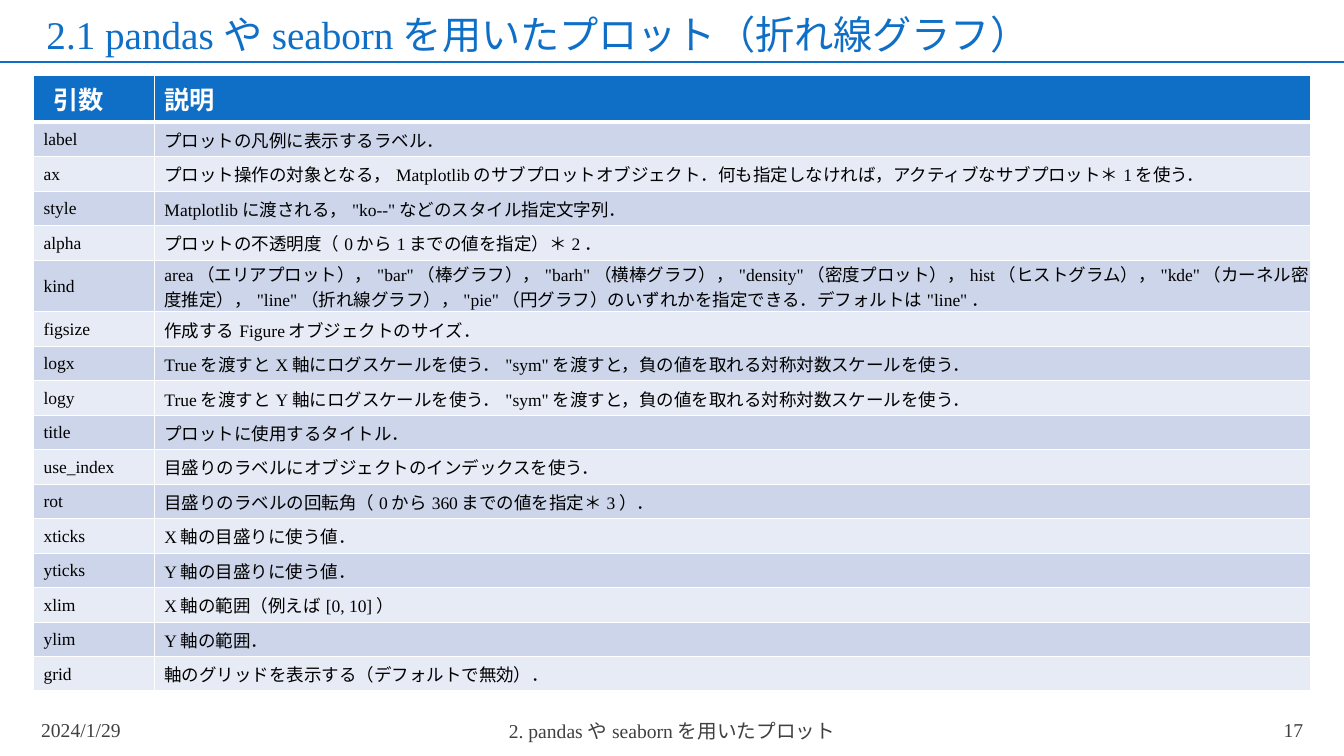
from pptx import Presentation
from pptx.dml.color import RGBColor
from pptx.enum import lang, shapes, text
from pptx.oxml import ns
from pptx.util import Pt
from lxml import etree

TITLE = "2.1 pandasやseabornを用いたプロット（折れ線グラフ）"
HEADER = ("引数", "説明")
ARGUMENTS = [
    ("label", "プロットの凡例に表示するラベル．"),
    ("ax", "プロット操作の対象となる，Matplotlibのサブプロットオブジェクト．"
           "何も指定しなければ，アクティブなサブプロット＊1を使う．"),
    ("style", "Matplotlibに渡される，\"ko--\"などのスタイル指定文字列．"),
    ("alpha", "プロットの不透明度（0から1までの値を指定）＊2．"),
    ("kind", "area（エリアプロット），\"bar\"（棒グラフ），\"barh\"（横棒グラフ），"
             "\"density\"（密度プロット），hist（ヒストグラム），\"kde\"（カーネル密度推定），"
             "\"line\"（折れ線グラフ），\"pie\"（円グラフ）のいずれかを指定できる．"
             "デフォルトは\"line\"．"),
    ("figsize", "作成するFigureオブジェクトのサイズ．"),
    ("logx", "Trueを渡すとX軸にログスケールを使う．\"sym\"を渡すと，負の値を取れる対称対数スケールを使う．"),
    ("logy", "Trueを渡すとY軸にログスケールを使う．\"sym\"を渡すと，負の値を取れる対称対数スケールを使う．"),
    ("title", "プロットに使用するタイトル．"),
    ("use_index", "目盛りのラベルにオブジェクトのインデックスを使う．"),
    ("rot", "目盛りのラベルの回転角（0から360までの値を指定＊3）．"),
    ("xticks", "X軸の目盛りに使う値．"),
    ("yticks", "Y軸の目盛りに使う値．"),
    ("xlim", "X軸の範囲（例えば[0, 10]）"),
    ("ylim", "Y軸の範囲．"),
    ("grid", "軸のグリッドを表示する（デフォルトで無効）．"),
]
LEFT, CENTER, RIGHT = text.PP_ALIGN.LEFT, text.PP_ALIGN.CENTER, text.PP_ALIGN.RIGHT
FOOTERS = [  # text, left, top, width, alignment
    ("2024/1/29", 22.3, 507, 216, LEFT),
    ("2. pandasやseabornを用いたプロット", 318, 507.5, 324, CENTER),
    ("17", 722, 507, 216, RIGHT),
]

BLUE = RGBColor(0x0F, 0x6F, 0xC6)
GRAY = RGBColor(0x40, 0x40, 0x40)
BLACK = RGBColor(0, 0, 0)
WHITE = RGBColor(0xFF, 0xFF, 0xFF)
BANDS = (RGBColor(0xCC, 0xD5, 0xEA), RGBColor(0xE7, 0xEB, 0xF5))
SERIF, GOTHIC = "Times New Roman", "Noto Sans CJK JP"

SLIDE_W, SLIDE_H = 960, 540
TABLE_LEFT, TABLE_TOP = 24, 54
COLUMNS = (86.4, 825.6)
HEADER_H, ROW_H, KIND_H = 29.5, 24.65, 31.7


def add_run(p, words, size, color, font=SERIF, bold=False):
    r = p.add_run()
    r.text = words
    f = r.font
    f.size, f.name, f.bold, f.color.rgb = Pt(size), font, bold, color
    f.language_id = lang.MSO_LANGUAGE_ID.JAPANESE
    latin = r._r.rPr.find(ns.qn("a:latin"))
    ea = etree.Element(ns.qn("a:ea"), typeface=GOTHIC)
    latin.addnext(ea)


def add_borders(cell, widths):
    """Draw white borders; widths maps L, R, T and B to points."""
    tcPr = cell._tc.get_or_add_tcPr()
    for side, width in widths.items():
        ln = etree.SubElement(tcPr, ns.qn(f"a:ln{side}"), w=str(Pt(width)))
        fill = etree.SubElement(ln, ns.qn("a:solidFill"))
        etree.SubElement(fill, ns.qn("a:srgbClr"), val=str(WHITE))


def fill_cell(cell, row, col, words):
    is_header = row == 0
    p = cell.text_frame.paragraphs[0]
    if is_header:
        cell.vertical_anchor = text.MSO_ANCHOR.BOTTOM
        indent = 7.2 if col == 0 else 0
        add_run(p, words, 18, WHITE, GOTHIC, True)
    else:
        cell.vertical_anchor = text.MSO_ANCHOR.MIDDLE
        cell.margin_left = cell.margin_top = cell.margin_right = Pt(0.6)
        cell.margin_bottom = 0
        indent = 6.5
        add_run(p, words, 12.5, BLACK)
    p._p.get_or_add_pPr().set("marL", str(Pt(indent)))
    add_borders(cell, {"L": 1, "R": 1, "T": 3 if row == 1 else 1, "B": 3 if is_header else 1})
    cell.fill.solid()
    cell.fill.fore_color.rgb = BLUE if is_header else BANDS[(row - 1) % 2]


def add_argument_table(s):
    rows = [HEADER] + ARGUMENTS
    heights = [HEADER_H] + [KIND_H if name == "kind" else ROW_H for name, _ in ARGUMENTS]
    table = s.shapes.add_table(len(rows), len(COLUMNS), Pt(TABLE_LEFT), Pt(TABLE_TOP),
                               Pt(sum(COLUMNS)), Pt(sum(heights))).table
    for column, width in zip(table.columns, COLUMNS):
        column.width = Pt(width)
    for i, (words, height) in enumerate(zip(rows, heights)):
        table.rows[i].height = Pt(height)
        for j, word in enumerate(words):
            fill_cell(table.cell(i, j), i, j, word)


def main():
    prs = Presentation()
    prs.slide_width, prs.slide_height = Pt(SLIDE_W), Pt(SLIDE_H)
    s = prs.slides.add_slide(prs.slide_layouts[5])

    rule = s.shapes.add_connector(shapes.MSO_CONNECTOR.STRAIGHT, Pt(SLIDE_W), Pt(44), 0, Pt(44))
    rule.line.color.rgb, rule.line.width = BLUE, Pt(1.5)
    etree.SubElement(rule._element.spPr, ns.qn("a:effectLst"))

    title = s.shapes.title
    title.left, title.top, title.width, title.height = Pt(26), Pt(8), Pt(912), Pt(36)
    tf = title.text_frame
    tf.vertical_anchor, tf.auto_size = text.MSO_ANCHOR.MIDDLE, text.MSO_AUTO_SIZE.NONE
    p = tf.paragraphs[0]
    p.alignment, p.line_spacing = LEFT, 0.9
    add_run(p, TITLE, 28, BLUE)

    add_argument_table(s)

    for words, left, top, width, alignment in FOOTERS:
        tf = s.shapes.add_textbox(Pt(left), Pt(top), Pt(width), Pt(28.8)).text_frame
        tf.word_wrap, tf.vertical_anchor = True, text.MSO_ANCHOR.MIDDLE
        p = tf.paragraphs[0]
        p.alignment = alignment
        add_run(p, words, 14, GRAY)

    prs.save("out.pptx")


if __name__ == "__main__":
    main()
